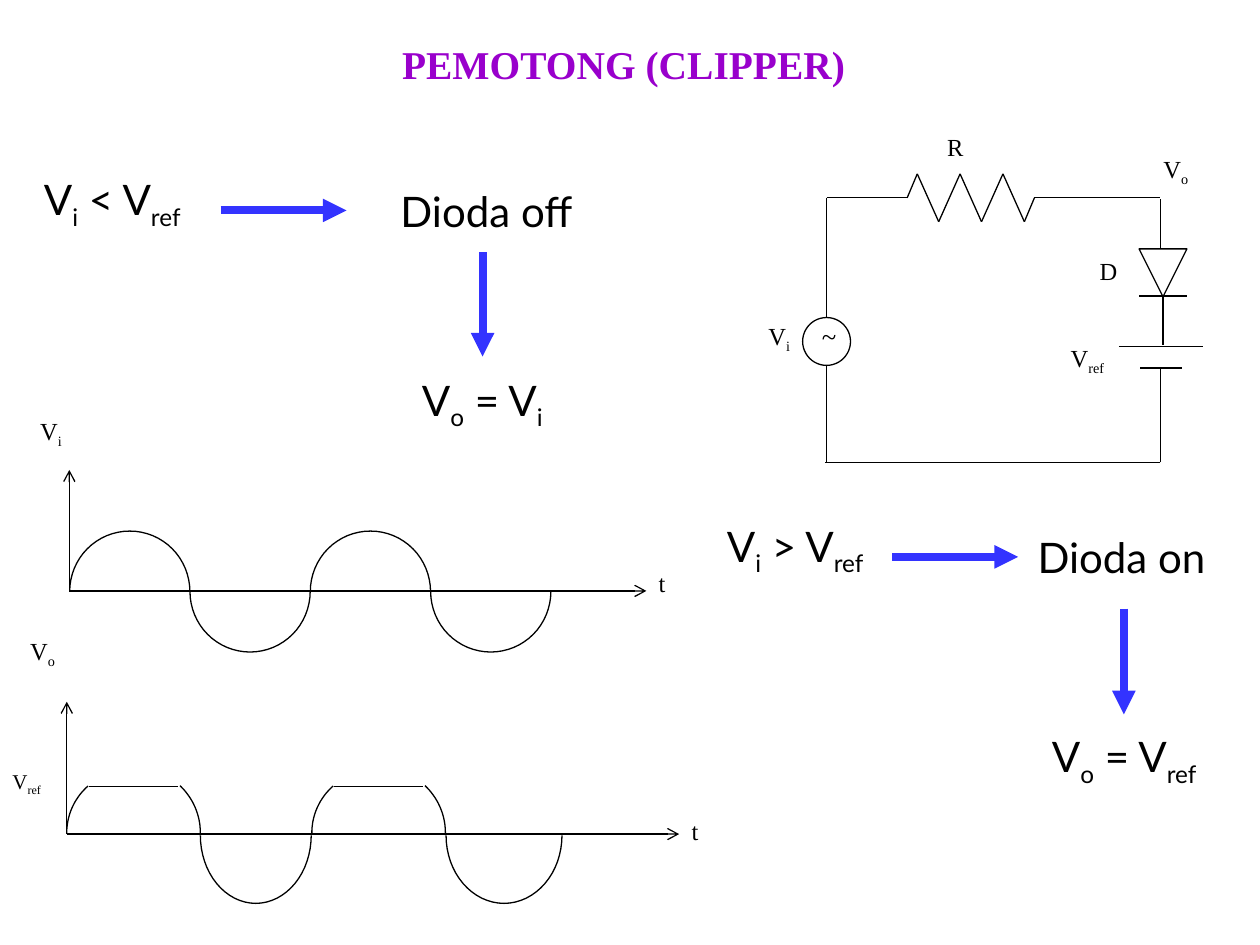
from dataclasses import dataclass
from itertools import pairwise
from math import cos, radians, sin
from typing import Optional

from lxml import etree
from pptx import Presentation
from pptx import util as u
from pptx.dml.color import RGBColor
from pptx.enum import shapes, text
from pptx.oxml.ns import qn

COLUMNS, ROWS = 100, 75
CELL = u.Inches(0.1)
BLACK = RGBColor(0, 0, 0)
WHITE = RGBColor(0xFF, 0xFF, 0xFF)
BLUE = RGBColor(0x33, 0x33, 0xFF)
PURPLE = RGBColor(0x99, 0x00, 0xCC)
SERIF, SANS = "Times New Roman", "Lato"
SUBSCRIPT = "-25000"
ARC_STEPS = 32

Point = tuple[float, float]


@dataclass
class Label:
    col: float
    row: float
    cols: float
    rows: float
    pieces: tuple[str, ...]
    size: float = 14
    font: str = SERIF
    color: RGBColor = BLACK
    bold: bool = False
    indent: float = 0
    align: Optional[text.PP_ALIGN] = None
    spacing: Optional[float] = None
    anchor: text.MSO_ANCHOR = text.MSO_ANCHOR.TOP
    grow: bool = False


@dataclass
class Arc:
    col: float
    row: float
    col_radius: float
    row_radius: float
    start: float
    end: float


@dataclass
class Arrow:
    start: Point
    end: Point
    color: RGBColor = BLACK
    width: float = 0.75
    head: str = "arrow"


def grid(value: float) -> u.Emu:
    return u.Emu(round(value * CELL))


def add_label(s, label: Label) -> None:
    sp = s.shapes.add_textbox(*map(grid, (label.col, label.row, label.cols, label.rows)))
    tf = sp.text_frame
    tf.word_wrap = True
    tf.vertical_anchor = label.anchor
    tf.margin_left = grid(1 + label.indent)
    if label.grow:
        tf.auto_size = text.MSO_AUTO_SIZE.SHAPE_TO_FIT_TEXT
    p = tf.paragraphs[0]
    p.alignment = label.align
    p.line_spacing = label.spacing
    for i, piece in enumerate(label.pieces):
        r = p.add_run()
        r.text = piece
        r.font.size = u.Pt(label.size)
        r.font.name = label.font
        r.font.bold = label.bold
        r.font.color.rgb = label.color
        if i % 2:
            r.font._element.set("baseline", SUBSCRIPT)


def add_line(s, start: Point, end: Point, color: RGBColor = BLACK, width: float = 0.75):
    sp = s.shapes.add_connector(shapes.MSO_CONNECTOR.STRAIGHT, *map(grid, (*start, *end)))
    sp.line.color.rgb = color
    sp.line.width = u.Pt(width)
    etree.SubElement(sp._element.spPr, qn("a:effectLst"))
    return sp


def add_arrow(s, arrow: Arrow) -> None:
    sp = add_line(s, arrow.start, arrow.end, arrow.color, arrow.width)
    etree.SubElement(sp.get_or_add_ln(), qn("a:tailEnd"), type=arrow.head)


def add_wire(s, points: list[Point]) -> None:
    for start, end in pairwise(points):
        add_line(s, start, end)


def outline(sp) -> None:
    sp.shadow.inherit = False
    sp.fill.background()
    sp.line.color.rgb = BLACK
    sp.line.width = u.Pt(0.75)


def add_arc(s, arc: Arc) -> None:
    step = (arc.end - arc.start) / ARC_STEPS
    angles = [radians(arc.start + i * step) for i in range(ARC_STEPS + 1)]
    points = [(grid(arc.col + arc.col_radius * cos(a)), grid(arc.row + arc.row_radius * sin(a)))
              for a in angles]
    builder = s.shapes.build_freeform(*points[0])
    builder.add_line_segments(points[1:], close=False)
    outline(builder.convert_to_shape())


def add_symbol(s, kind: shapes.MSO_SHAPE, col: float, row: float, side: float):
    sp = s.shapes.add_shape(kind, *map(grid, (col, row, side, side)))
    outline(sp)
    return sp


def formula(col: float, row: float, cols: float, *pieces: str, **style) -> Label:
    rows = 5.6 if len(pieces) > 1 else 5
    return Label(col, row, cols, rows, pieces, 24, SANS, grow=True, **style)


def flow(start: Point, end: Point) -> Arrow:
    return Arrow(start, end, BLUE, 4.5, "triangle")


RESISTOR = [(72.8 + 1.7 * i, 17.6 if i % 2 else 13.8) for i in range(6)]
WIRES = [
    [(65.6, 15.7), (69.4, 15.7), (72, 15.7), *RESISTOR, (82.1, 15.7), (84.7, 15.7), (92.1, 15.7)],
    [(65.6, 15.7), (65.6, 21.4), (65.6, 25.2)],
    [(65.6, 29), (65.6, 32.8), (65.6, 36.7)],
    [(65.5, 36.7), (92.1, 36.7), (92.1, 29.2)],
    [(92.1, 15.8), (92.1, 19.7)],
    [(90.4, 23.5), (94.2, 23.5)],
    [(92.3, 23.5), (92.3, 27.4)],
    [(88.8, 27.5), (95.5, 27.5)],
    [(90.5, 29.2), (93.8, 29.2)],
]
CLIP_PERIOD = 19.45
CLIP_STARTS = (5.3, 5.3 + CLIP_PERIOD)
INPUT_WAVE = [
    Arc(10.3 + 9.55 * i, 46.95, 4.77, 4.8, *((180, 0) if i % 2 else (180, 360)))
    for i in range(4)
]
OUTPUT_WAVE = [
    Arc(20.3, 66.3, 4.4, 5.4, 180, 0),
    Arc(40, 66.3, 4.6, 5.4, 180, 0),
    *(Arc(col + 5.1, 66.1, 5.1, 5, 180, 228) for col in CLIP_STARTS),
    *(Arc(col + 5.3, 66.1, 5.3, 5.2, 314, 362) for col in CLIP_STARTS),
]
ARROWS = [
    Arrow((5.5, 46.9), (5.5, 37.3)),
    Arrow((5.5, 46.9), (51.3, 46.9)),
    Arrow((5.3, 66.2), (5.3, 55.7)),
    Arrow((5.3, 66.2), (53.9, 66.2)),
    flow((17.5, 16.7), (27.5, 16.7)),
    flow((38.3, 20), (38.3, 28.3)),
    flow((70.8, 44.2), (80.8, 44.2)),
    flow((89.2, 48.3), (89.2, 56.7)),
]
LABELS = [
    Label(7.5, 2.5, 85, 5.8, ("PEMOTONG (CLIPPER)",), 22.5, color=PURPLE, bold=True,
          indent=-1, align=text.PP_ALIGN.CENTER, spacing=0.8, anchor=text.MSO_ANCHOR.MIDDLE),
    Label(51.3, 44.6, 5.7, 4.8, ("t",)),
    Label(1.7, 32.5, 7.6, 4.8, ("V", "i"), indent=0.49),
    Label(53.9, 64.3, 6.1, 5.5, ("t",)),
    Label(0.9, 50, 8.1, 5.5, ("V", "o"), indent=0.49),
    Label(0, 60.5, 6.1, 5.5, ("V", "ref"), 12),
    Label(86.3, 19.8, 6, 5.7, ("D",)),
    Label(73.2, 10, 7.6, 5.7, ("R",), indent=0.97),
    Label(63.7, 25.2, 5.7, 3.8, ("~",), 15.3, indent=0.53, spacing=0.9),
    Label(60, 25, 7.6, 5.7, ("V", "i")),
    Label(90.5, 11.7, 9.5, 5.7, ("V", "o"), indent=0.83),
    Label(83, 26.7, 7.4, 8.3, ("V", "ref"), indent=0.97),
    formula(2.5, 13.3, 14.2, "V", "i", " < V", "ref"),
    formula(30.8, 14.2, 21.7, "Dioda off"),
    formula(32.5, 29.2, 13.3, "V", "o", " = V", "i"),
    formula(56.7, 40.8, 14.2, "V", "i", " > V", "ref"),
    formula(80.8, 41.7, 16.7, "Dioda on ", align=text.PP_ALIGN.RIGHT),
    formula(82.5, 57.5, 15, "V", "o", " = V", "ref"),
]


def main() -> None:
    prs = Presentation()
    prs.slide_width, prs.slide_height = grid(COLUMNS), grid(ROWS)
    s = prs.slides.add_slide(prs.slide_layouts[6])
    for wire in WIRES:
        add_wire(s, wire)
    diode = add_symbol(s, shapes.MSO_SHAPE.ISOSCELES_TRIANGLE, 90.4, 19.75, 3.8)
    diode.rotation = 180
    source = add_symbol(s, shapes.MSO_SHAPE.OVAL, 63.7, 25.2, 3.8)
    source.fill.solid()
    source.fill.fore_color.rgb = WHITE
    for arc in INPUT_WAVE + OUTPUT_WAVE:
        add_arc(s, arc)
    for col in CLIP_STARTS:
        add_line(s, (col + 1.8, 62.4), (col + 8.8, 62.4))
    for arrow in ARROWS:
        add_arrow(s, arrow)
    for label in LABELS:
        add_label(s, label)
    prs.save("out.pptx")


if __name__ == "__main__":
    main()
